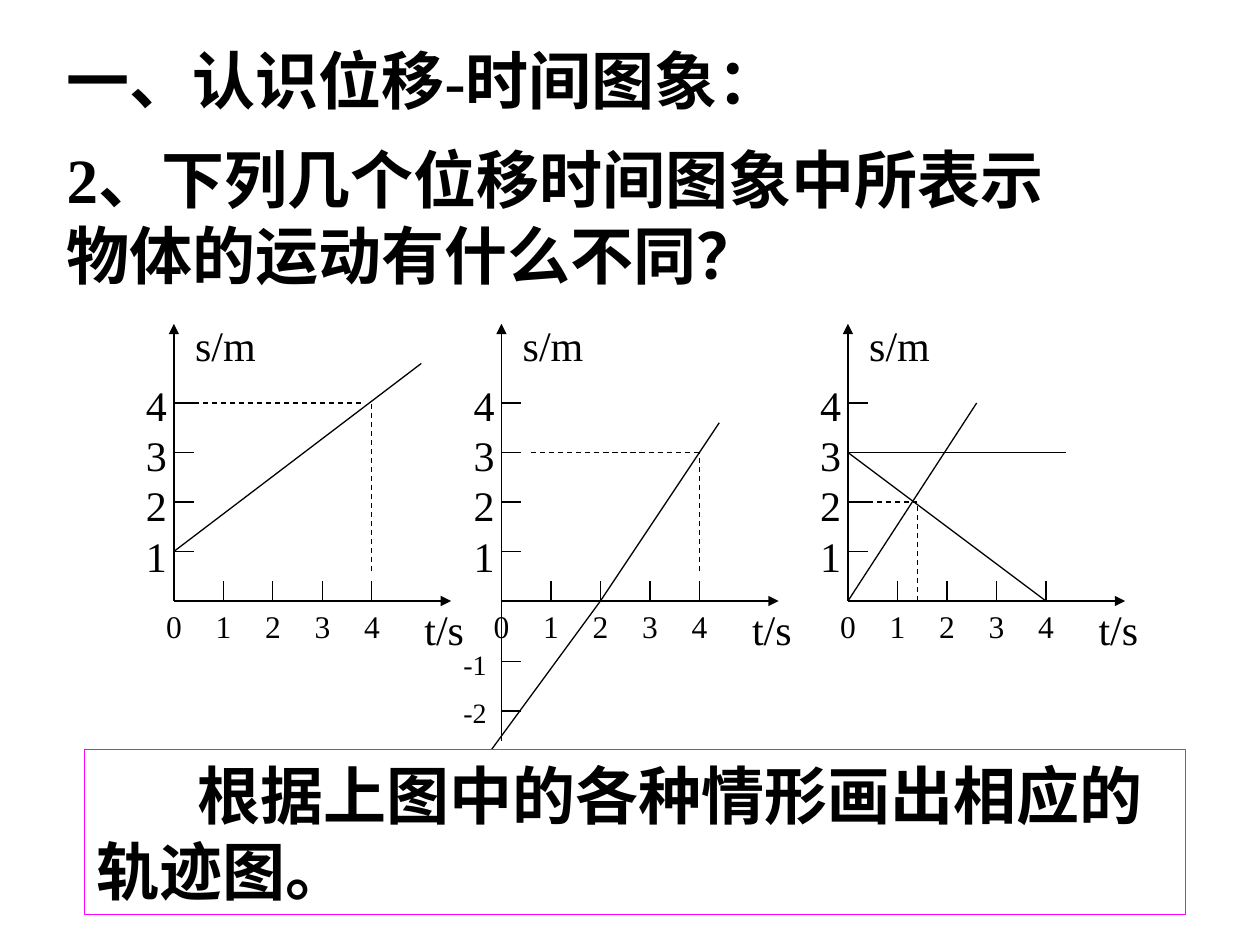
from pptx import Presentation
from pptx.dml.color import RGBColor
from pptx.enum.dml import MSO_LINE
from pptx.enum.shapes import MSO_CONNECTOR, MSO_SHAPE
from pptx.enum.text import PP_ALIGN
from pptx.oxml.ns import qn
from pptx.util import Inches, Pt
from lxml import etree

STRAIGHT, RECT, DASH = MSO_CONNECTOR.STRAIGHT, MSO_SHAPE.RECTANGLE, MSO_LINE.DASH
LEFT = PP_ALIGN.LEFT
FONT, BLACK, MAGENTA = "Times New Roman", "000000", "FF00FF"
AXIS = 2.2           # length of each axis
UNIT = AXIS / 5.6    # one step of the axis scale
TICK = 0.4           # tick length in steps
ORIGIN_Y = 4.77

# Each graph: origin x, solid lines and dashed guides as (t1, s1, t2, s2)
GRAPHS = [
    (1.38, [(0, 1, 5, 4.8)], [(TICK, 4, 3.8, 4), (4, 0.6, 4, 4)]),
    (3.98, [(2, 0, 4.4, 3.6), (2, 0, -0.2, -3)],
     [(0.6, 3, 4, 3), (4, 0.6, 4, 3)]),
    (6.73, [(0, 3, 4, 0), (0, 0, 2.6, 4), (0, 3, 4.4, 3)],
     [(TICK, 2, 1.4, 2), (1.4, 0, 1.4, 2)]),
]


def color(value):
    return RGBColor.from_string(value)


def write(shape, text, size=24, bold=False, indent=0, gap=0):
    """Fill a shape with one paragraph per line of text."""
    tf = shape.text_frame
    tf.word_wrap = True
    for i, line in enumerate(text.split("\n")):
        p = tf.add_paragraph() if i else tf.paragraphs[0]
        if i:
            p.space_before = Pt(gap)
        p.alignment = LEFT
        if indent:
            p._p.get_or_add_pPr().set("indent", str(Inches(indent)))
        r = p.add_run()
        r.text = line
        r.font.name, r.font.size, r.font.bold = FONT, Pt(size), bold
        r.font.color.rgb = color(BLACK)


def label(shapes, box, text, **fmt):
    write(shapes.add_textbox(*map(Inches, box)), text, **fmt)


def plot_line(shapes, x, y, points, dash=False, arrow=False):
    """Draw a line given in axis steps from the origin at x, y."""
    t1, s1, t2, s2 = (v * UNIT for v in points)
    c = shapes.add_connector(
        STRAIGHT, *map(Inches, (x + t1, y - s1, x + t2, y - s2)))
    c.line.color.rgb = color(BLACK)
    c.line.width = Pt(0.75)
    if dash:
        c.line.dash_style = DASH
    if arrow:
        etree.SubElement(c.line._get_or_add_ln(), qn("a:tailEnd"), type="triangle")
    etree.SubElement(c._element.spPr, qn("a:effectLst"))


def axes(shapes, x, y):
    for end in ((0, 5.6), (5.6, 0)):
        plot_line(shapes, x, y, (0, 0, *end), arrow=True)
    for n in range(1, 5):
        plot_line(shapes, x, y, (n, TICK, n, 0))
        plot_line(shapes, x, y, (0, n, TICK, n))
    for n in range(5):
        label(shapes, (x - 0.16 + n * UNIT, y, 0.34, 0.4), str(n), size=18)
    label(shapes, (x + 1.89, y - 0.03, 0.55, 0.5), "t/s")
    label(shapes, (x + 0.07, y - 2.28, 0.71, 0.5), "s/m")
    label(shapes, (x - 0.32, y - 1.81, 0.32, 1.7), "4321")


def negative_axis(shapes, x, y):
    plot_line(shapes, x, y, (0, 0, 0, -2.82))
    for s in (-1.22, -2.22):
        plot_line(shapes, x, y, (0, s, TICK, s))
    label(shapes, (x - 0.4, y + 0.32, 0.47, 0.77), "-1\n-2", size=16, gap=8)


def graph(s, x, y, lines, guides):
    shapes = s.shapes.add_group_shape().shapes
    axes(shapes, x, y)
    for points in guides:
        plot_line(shapes, x, y, points, dash=True)
    for points in lines:
        plot_line(shapes, x, y, points)
    if any(min(points) < -1 for points in lines):
        negative_axis(shapes, x, y)


def headings(s, x, y):
    label(s.shapes, (x, y, 6.3, 0.7), "一、认识位移-时间图象：", size=36, bold=True)
    label(s.shapes, (x, y + 0.79, 8.35, 1.3),
          "2、下列几个位移时间图象中所表示物体的运动有什么不同？", size=36, bold=True)


def task_box(s, box):
    sp = s.shapes.add_shape(RECT, *map(Inches, box))
    sp.shadow.inherit = False
    sp.fill.background()
    sp.line.color.rgb = color(MAGENTA)
    sp.line.width = Pt(0.75)
    write(sp, "根据上图中的各种情形画出相应的轨迹图。", size=36, bold=True, indent=0.8)


def main():
    prs = Presentation()
    prs.slide_width, prs.slide_height = Inches(10), Inches(7.5)
    s = prs.slides.add_slide(prs.slide_layouts[6])
    headings(s, 0.43, 0.28)
    for x, lines, guides in GRAPHS:
        graph(s, x, ORIGIN_Y, lines, guides)
    task_box(s, (0.67, 5.95, 8.74, 1.31))
    prs.save("out.pptx")


if __name__ == "__main__":
    main()
